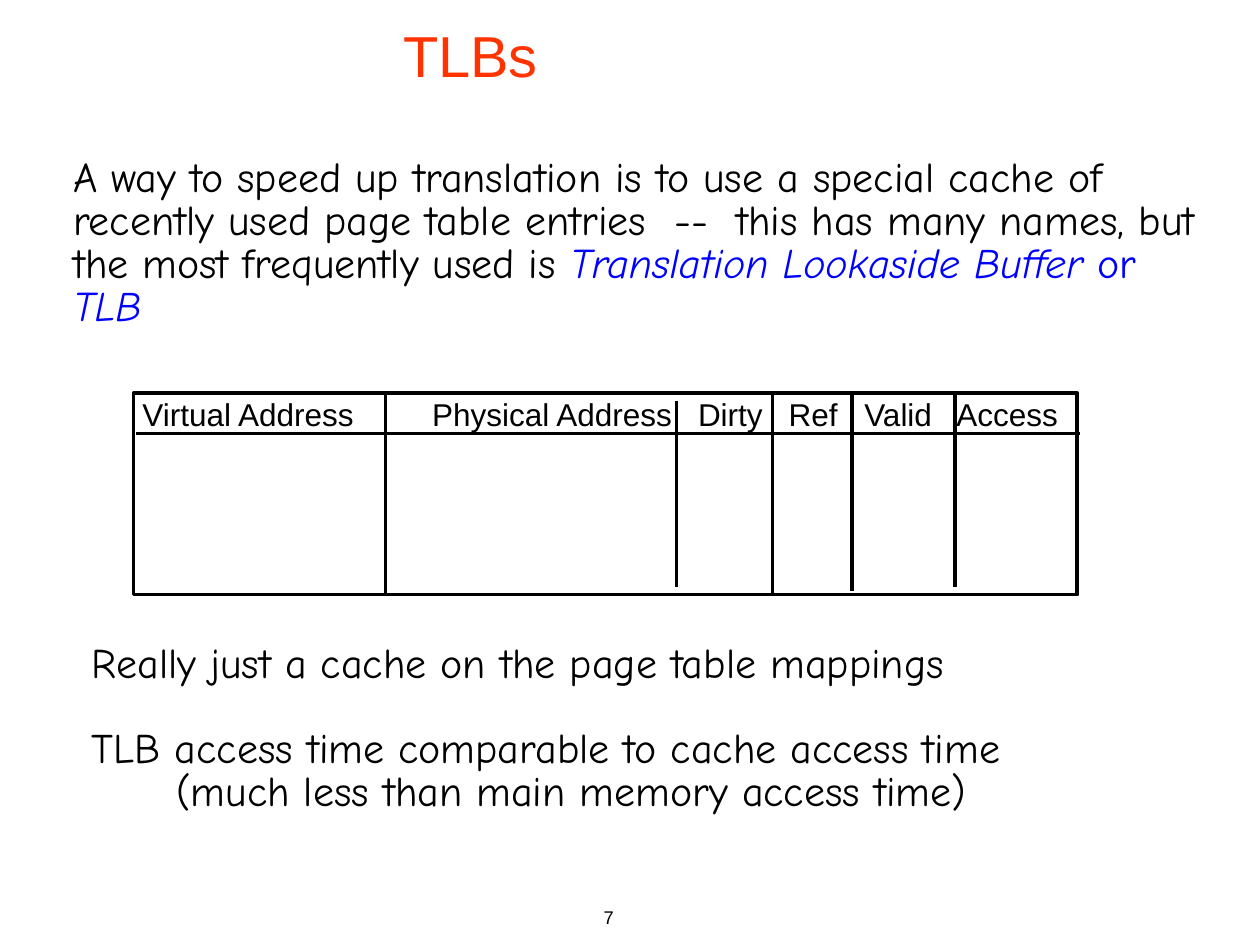
from dataclasses import dataclass

from lxml.etree import SubElement
from pptx import Presentation
from pptx.dml.color import RGBColor as RGB
from pptx.enum.shapes import MSO_CONNECTOR as Connector, MSO_SHAPE as Shape
from pptx.enum.text import MSO_ANCHOR as Anchor, PP_ALIGN as Align
from pptx.oxml.ns import qn
from pptx.util import Emu, Inches, Pt

COLUMN = ROW = Inches(0.1)
GRID_COLUMNS, GRID_ROWS = 100, 75


@dataclass(frozen=True)
class Theme:
    """Fonts, colours, type sizes and spacing of the slide."""
    heading_font: str = "Arial"
    body_font: str = "Comic Neue"
    ink: RGB = RGB(0, 0, 0)
    accent: RGB = RGB(0xFF, 0x33, 0)
    term: RGB = RGB(0, 0, 0xFF)
    title_size: float = 33
    body_size: float = 24
    header_size: float = 18
    number_size: float = 10.5
    rule_width: float = 2
    line_spacing: float = 0.85
    side_inset: float = 0.7
    top_inset: float = 0.3


THEME = Theme()

FIELDS = [
    ("Virtual Address", 0),
    ("Physical Address", 23),
    ("Dirty", 44.1),
    ("Ref", 51.3),
    ("Valid", 57.3),
    ("Access", 64.6),
]
DIVIDERS = [(20, 0, 16), (43.1, 0.6, 15.4), (50.7, 0, 16), (57, 0, 15.7), (65.2, 0, 15.4)]
HEADER_RULE = 3.2
HEADER_RULE_SHIFT = 0.2

DEFINITION = [
    ("A way to speed up translation is to use a special cache of recently used "
     "page table entries  --  this has many names, but the most frequently used is ",
     THEME.ink, False),
    ("Translation Lookaside Buffer", THEME.term, True),
    (" or ", THEME.term, False),
    ("TLB", THEME.term, True),
]

REMARKS = [
    ("Really just a cache on the page table mappings", 0, 0),
    ("TLB access time comparable to cache access time", 24.5, 0),
    ("(much less than main memory access time)", 0, 6.7),
]


def place(box):
    """Turn a box in grid units into slide lengths."""
    left, top, width, height = box
    return (Emu(int(left * COLUMN)), Emu(int(top * ROW)),
            Emu(int(width * COLUMN)), Emu(int(height * ROW)))


def add_run(paragraph, wording, size, font, color=THEME.ink, italic=False):
    """Append one formatted run to a paragraph."""
    run = paragraph.add_run()
    run.text = wording
    run.font.size, run.font.name, run.font.italic = Pt(size), font, italic
    run.font.color.rgb = color


def add_body_frame(shapes, box):
    """Add a wrapping text box with the body insets and return its frame."""
    frame = shapes.add_textbox(*place(box)).text_frame
    frame.word_wrap = True
    frame.margin_left = frame.margin_right = Emu(int(THEME.side_inset * COLUMN))
    frame.margin_top = frame.margin_bottom = Emu(int(THEME.top_inset * ROW))
    return frame


def fill_title(slide, box):
    """Place and format the title placeholder."""
    title = slide.shapes.title
    title.left, title.top, title.width, title.height = place(box)
    title.text_frame.vertical_anchor = Anchor.MIDDLE
    heading = title.text_frame.paragraphs[0]
    heading.alignment = Align.LEFT
    add_run(heading, "TLBs", THEME.title_size, THEME.heading_font, THEME.accent)


def add_definition(slide, box):
    """Write the definition with its highlighted terms."""
    paragraph = add_body_frame(slide.shapes, box).paragraphs[0]
    paragraph.line_spacing = THEME.line_spacing
    for wording, color, italic in DEFINITION:
        add_run(paragraph, wording, THEME.body_size, THEME.body_font, color, italic)


def style_rule(line):
    """Give an outline or a line the ink colour and rule width."""
    line.color.rgb = THEME.ink
    line.width = Pt(THEME.rule_width)


def add_rule(shapes, start, end):
    """Draw one straight rule between two grid points."""
    rule = shapes.add_connector(Connector.STRAIGHT, *place((*start, *end)))
    style_rule(rule.line)
    SubElement(rule._element.spPr, qn("a:effectLst"))


def add_field_names(shapes, box):
    """Write the field names on one line, set apart by tab stops."""
    paragraph = add_body_frame(shapes, box).paragraphs[0]
    paragraph.line_spacing = THEME.line_spacing
    stops = SubElement(paragraph._p.get_or_add_pPr(), qn("a:tabLst"))
    for index, (field, offset) in enumerate(FIELDS):
        if index:
            SubElement(stops, qn("a:tab"), pos=str(int(offset * COLUMN)), algn="l")
        add_run(paragraph, "\t" * bool(index) + field,
                THEME.header_size, THEME.heading_font)


def add_buffer_diagram(slide, box):
    """Draw the buffer entry layout: frame, field names, dividers and header rule."""
    left, top, width, height = box
    shapes = slide.shapes.add_group_shape().shapes
    frame = shapes.add_shape(Shape.RECTANGLE, *place(box))
    frame.shadow.inherit = False
    frame.fill.background()
    style_rule(frame.line)
    add_field_names(shapes, (left, top + THEME.top_inset, width, 3.1))
    for offset, upper, lower in DIVIDERS:
        add_rule(shapes, (left + offset, top + upper), (left + offset, top + lower))
    start = left + HEADER_RULE_SHIFT
    add_rule(shapes, (start, top + HEADER_RULE), (start + width, top + HEADER_RULE))


def add_remarks(slide, box):
    """Write the closing remarks, the last one indented."""
    frame = add_body_frame(slide.shapes, box)
    for index, (wording, gap, indent) in enumerate(REMARKS):
        paragraph = frame.add_paragraph() if index else frame.paragraphs[0]
        paragraph.line_spacing = THEME.line_spacing
        paragraph.space_before = Pt(gap)
        paragraph._p.get_or_add_pPr().set("marL", str(int(indent * COLUMN)))
        add_run(paragraph, wording, THEME.body_size, THEME.body_font)


def add_page_number(slide, box):
    """Write the page number at the foot of the slide."""
    paragraph = slide.shapes.add_textbox(*place(box)).text_frame.paragraphs[0]
    paragraph.alignment = Align.RIGHT
    add_run(paragraph, "7", THEME.number_size, THEME.heading_font)


def main():
    """Build the slide and save it."""
    deck = Presentation()
    deck.slide_width, deck.slide_height = GRID_COLUMNS * COLUMN, GRID_ROWS * ROW
    slide = deck.slides.add_slide(deck.slide_layouts[5])
    fill_title(slide, (31, 0.5, 47.4, 7.7))
    add_definition(slide, (5.1, 12.3, 91.7, 14.2))
    add_buffer_diagram(slide, (10.6, 31.2, 74.9, 16))
    add_remarks(slide, (6.6, 50.8, 82.7, 14.2))
    add_page_number(slide, (28.9, 71.4, 20.8, 5))
    deck.save("out.pptx")


if __name__ == "__main__":
    main()
